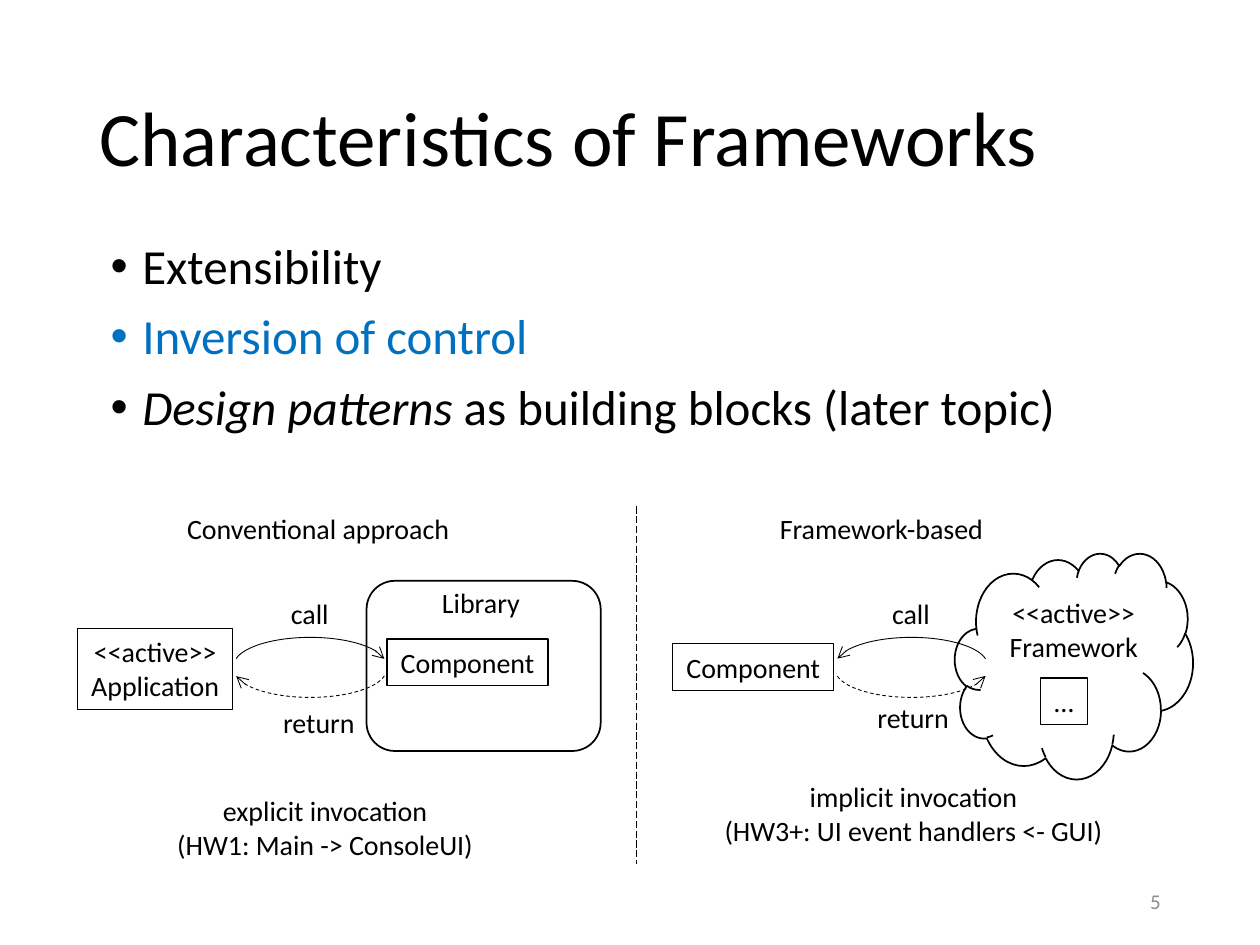
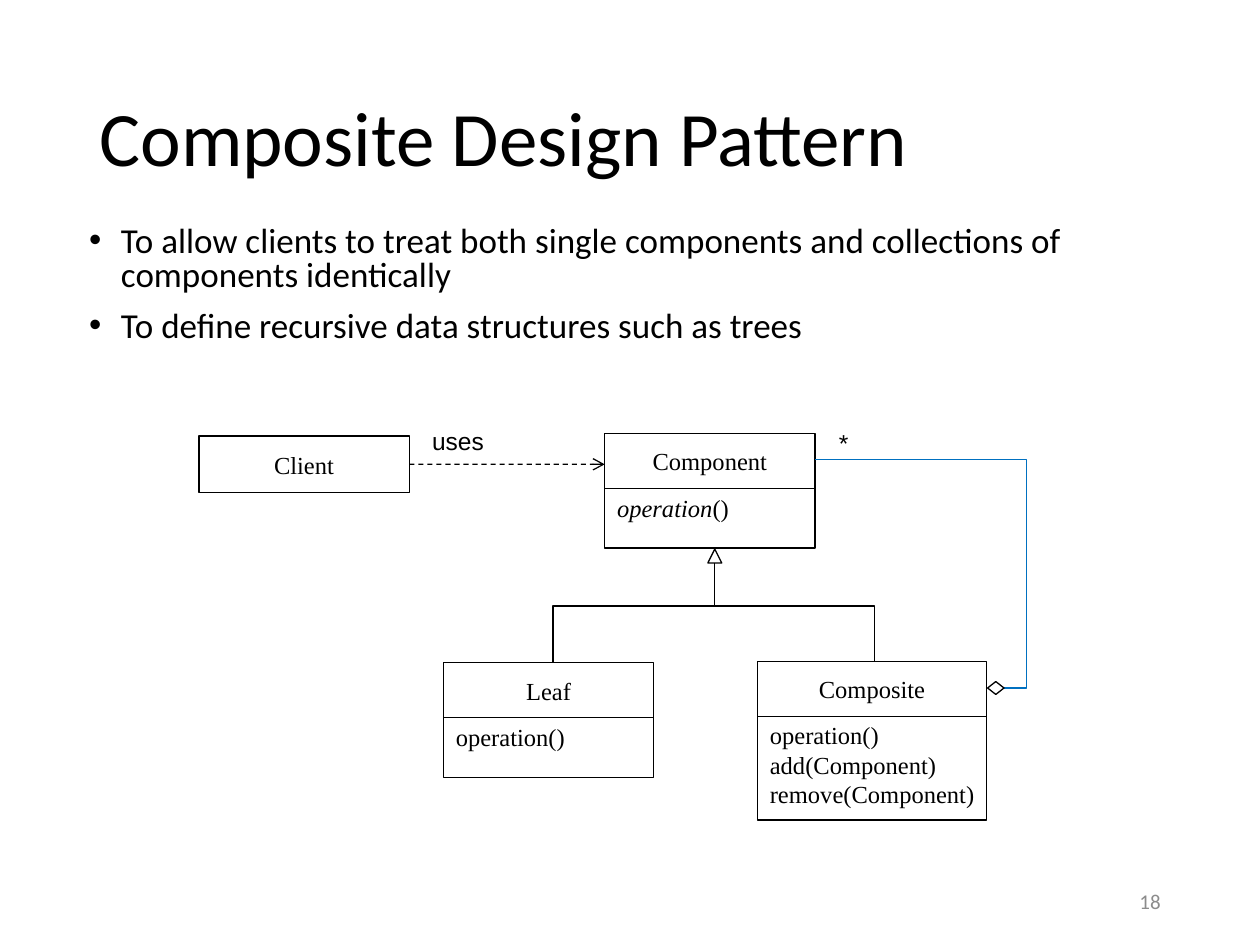
import lxml.etree
import pptx
import pptx.dml.color
import pptx.enum.dml
import pptx.enum.shapes
import pptx.enum.text
import pptx.oxml.ns
import pptx.util

Cm = pptx.util.Cm
SHAPES = pptx.enum.shapes.MSO_SHAPE
ALIGN = pptx.enum.text.PP_ALIGN
ANCHOR = pptx.enum.text.MSO_ANCHOR
DASH = pptx.enum.dml.MSO_LINE.DASH
LONG_DASH = pptx.enum.dml.MSO_LINE.LONG_DASH

BLACK, BLUE, GREY = "000000", "0070C0", "8C8C8C"
BODY_FONT, CLASS_FONT, LABEL_FONT = "Calibri", "Times New Roman", "Arial"
TITLE_BOX = (1.75, 1.02, 21.9, 3.68)
NUMBER_BOX = (17.93, 17.65, 5.72, 1.02)

# A paragraph is a string or a list of (text, run format) pairs.
# All boxes are (left, top, width, height) in centimetres.
FRAMEWORKS = {
    "title": "Characteristics of Frameworks",
    "number": "5",
    "bullets": [
        "Extensibility",
        [("Inversion of control", {"color": BLUE})],
        [("Design patterns ", {"italic": True}), ("as building blocks (later topic)", {})],
    ],
    "bullet_box": (1.98, 4.75, 22.07, 4.7),
    "bullet_format": {"size": 28, "line_spacing": 0.9},
}
PANELS = [
    {
        "arc_left": 4.72,
        "call_arrow_end": "tailEnd",
        "return_arrow_end": "headEnd",
        "containers": [(SHAPES.ROUNDED_RECTANGLE, (7.39, 11.71, 4.72, 3.43))],
        "boxes": [
            (["<<active>>", "Application"], (1.57, 12.67, 3.12, 1.63)),
            (["Component"], (7.8, 12.88, 3.25, 0.94)),
        ],
        "labels": [
            (["Conventional approach"], (3.48, 10.19, 5.87, 0.94)),
            (["call"], (5.61, 11.91, 1.27, 0.94)),
            (["return"], (5.44, 14.1, 1.98, 0.94)),
            (["Library"], (8.64, 11.68, 2.11, 0.94)),
            (["explicit invocation", "(HW1: Main -> ConsoleUI)"], (3.28, 15.88, 6.55, 1.63)),
        ],
    },
    {
        "arc_left": 16.84,
        "call_arrow_end": "headEnd",
        "return_arrow_end": "tailEnd",
        "containers": [(SHAPES.CLOUD, (19.25, 11.15, 4.8, 4.55))],
        "boxes": [
            (["Component"], (13.56, 12.98, 3.25, 0.94)),
            (["…"], (20.98, 13.67, 0.94, 0.94)),
        ],
        "labels": [
            (["Framework-based"], (15.42, 10.19, 4.7, 0.94)),
            (["call"], (17.73, 11.91, 1.27, 0.94)),
            (["return"], (17.42, 14.0, 1.98, 0.94)),
            (["<<active>>", "Framework"], (20.07, 11.89, 3.15, 1.63)),
            (["implicit invocation", "(HW3+: UI event handlers <- GUI)"], (14.3, 15.6, 8.23, 1.63)),
        ],
    },
]
ARC_SIZE = (3.07, 1.12)
CALL_TOP, RETURN_TOP = 12.85, 12.94

COMPOSITE = {
    "title": "Composite Design Pattern",
    "number": "18",
    "bullets": [
        "To allow clients to treat both single components and collections of components identically",
        "To define recursive data structures such as trees",
    ],
    "bullet_box": (1.55, 4.45, 22.86, 2.74),
    "bullet_format": {"size": 20, "line_spacing": 0.8},
}
CLIENT_BOX = (4.01, 8.79, 4.24, 1.14)
CLASSES = [
    ("Component", [[("operation", {"italic": True}), ("()", {})]], (12.19, 8.74, 4.24, 2.31)),
    ("Leaf", ["operation()"], (8.94, 13.36, 4.24, 2.31)),
    ("Composite", ["operation()", "add(Component)", "remove(Component)"], (15.27, 13.33, 4.62, 3.2)),
]
NAME_HEIGHT = 1.11
RELATION_LABELS = [("uses", (8.46, 8.46, 1.55, 0.84)), ("*", (16.66, 8.51, 0.71, 0.84))]
INHERITANCE = [(11.15, 13.36), (11.15, 12.22), (17.63, 12.22), (17.63, 13.33)]
AGGREGATION = [(20.24, 13.87), (20.7, 13.87), (20.7, 9.27), (16.43, 9.27)]


def rgb(color):
    return pptx.dml.color.RGBColor.from_string(color)


def write_text(shape, paragraphs, size=16, font=BODY_FONT, color=BLACK, align=ALIGN.CENTER,
               anchor=ANCHOR.TOP, wrap=False, line_spacing=None, bullet=False):
    frame = shape.text_frame
    frame.word_wrap = wrap
    frame.auto_size = pptx.enum.text.MSO_AUTO_SIZE.NONE
    frame.vertical_anchor = anchor
    for index, content in enumerate(paragraphs):
        paragraph = frame.add_paragraph() if index else frame.paragraphs[0]
        paragraph.alignment = align
        if line_spacing:
            paragraph.line_spacing = line_spacing
        if bullet:
            paragraph.space_before = pptx.util.Pt(10)
            add_bullet(paragraph)
        runs = [(content, {})] if isinstance(content, str) else content
        for text, run_format in runs:
            run = paragraph.add_run()
            run.text = text
            run.font.name = font
            run.font.size = pptx.util.Pt(size)
            run.font.italic = run_format.get("italic", False)
            run.font.color.rgb = rgb(run_format.get("color", color))


def add_bullet(paragraph):
    properties = paragraph._p.get_or_add_pPr()
    indent = Cm(0.64)
    properties.set("marL", str(indent))
    properties.set("indent", str(-indent))
    for tag, key, value in [("a:buFont", "typeface", "Arial"), ("a:buChar", "char", "•")]:
        lxml.etree.SubElement(properties, pptx.oxml.ns.qn(tag)).set(key, value)


def add_text(slide, paragraphs, box, **text_format):
    shape = slide.shapes.add_textbox(*map(Cm, box))
    write_text(shape, paragraphs, **text_format)
    return shape


def style_line(shape, width=0.75, color=BLACK, dash=None, arrow_end=None):
    line = shape.line
    line.color.rgb = rgb(color)
    line.width = pptx.util.Pt(width)
    if dash:
        line.dash_style = dash
    if arrow_end:
        arrow = lxml.etree.SubElement(line._get_or_add_ln(), pptx.oxml.ns.qn("a:" + arrow_end))
        arrow.set("type", "arrow")


def add_outline(slide, kind, box, **line_format):
    """Add an unfilled preset shape."""
    shape = slide.shapes.add_shape(kind, *map(Cm, box))
    shape.shadow.inherit = False
    shape.fill.background()
    style_line(shape, **line_format)
    return shape


def add_line(slide, start, end, **line_format):
    connector = slide.shapes.add_connector(
        pptx.enum.shapes.MSO_CONNECTOR.STRAIGHT, *map(Cm, start + end))
    style_line(connector, **line_format)
    lxml.etree.SubElement(connector._element.spPr, pptx.oxml.ns.qn("a:effectLst"))
    return connector


def add_polyline(slide, points, **line_format):
    start, *rest = [tuple(map(Cm, point)) for point in points]
    builder = slide.shapes.build_freeform(*start)
    builder.add_line_segments(rest, close=False)
    shape = builder.convert_to_shape()
    shape.shadow.inherit = False
    shape.fill.background()
    style_line(shape, **line_format)


def add_arc(slide, left, top, flipped=False, **line_format):
    arc = add_outline(slide, SHAPES.ARC, (left, top) + ARC_SIZE, width=0.5, **line_format)
    arc.adjustments[0] = 111.02
    arc.adjustments[1] = 213.1
    if flipped:
        arc._element.spPr.xfrm.set("flipV", "1")


def add_slide(presentation, content):
    """Add a slide with its title, bullets and page number."""
    slide = presentation.slides.add_slide(presentation.slide_layouts.get_by_name("Title Only"))
    title = slide.shapes.title
    title.left, title.top, title.width, title.height = map(Cm, TITLE_BOX)
    write_text(title, [content["title"]], size=44, align=ALIGN.LEFT, anchor=ANCHOR.MIDDLE,
               wrap=True, line_spacing=0.9)
    add_text(slide, content["bullets"], content["bullet_box"], align=ALIGN.LEFT, wrap=True,
             bullet=True, **content["bullet_format"])
    add_text(slide, [content["number"]], NUMBER_BOX, size=12, color=GREY, align=ALIGN.RIGHT,
             anchor=ANCHOR.MIDDLE, wrap=True)
    return slide


def draw_panel(slide, panel):
    for kind, box in panel["containers"]:
        add_outline(slide, kind, box, width=1)
    for paragraphs, box in panel["boxes"]:
        write_text(add_outline(slide, SHAPES.RECTANGLE, box), paragraphs)
    for paragraphs, box in panel["labels"]:
        add_text(slide, paragraphs, box)
    add_arc(slide, panel["arc_left"], CALL_TOP, arrow_end=panel["call_arrow_end"])
    add_arc(slide, panel["arc_left"], RETURN_TOP, flipped=True, dash=DASH,
            arrow_end=panel["return_arrow_end"])


def draw_class(slide, name, operations, box):
    left, top, width, height = box
    rectangle = add_outline(slide, SHAPES.RECTANGLE, box)
    write_text(rectangle, operations, size=14, font=CLASS_FONT, align=ALIGN.LEFT, wrap=True)
    rectangle.text_frame.margin_top = Cm(NAME_HEIGHT + 0.08)
    rectangle.text_frame.margin_right = 0
    add_text(slide, [name], (left, top, width, NAME_HEIGHT), size=14, font=CLASS_FONT,
             anchor=ANCHOR.MIDDLE)
    divider = top + NAME_HEIGHT
    add_line(slide, (left, divider), (left + width, divider))


def draw_class_diagram(slide):
    client = add_outline(slide, SHAPES.RECTANGLE, CLIENT_BOX)
    write_text(client, ["Client"], size=14, font=CLASS_FONT, anchor=ANCHOR.MIDDLE)
    for name, operations, box in CLASSES:
        draw_class(slide, name, operations, box)
    for label, box in RELATION_LABELS:
        add_text(slide, [label], box, size=14, font=LABEL_FONT, align=ALIGN.LEFT)

    left, top, width, height = CLIENT_BOX
    middle = top + height / 2
    component_left = CLASSES[0][2][0]
    uses = add_line(slide, (left + width, middle), (component_left, middle),
                    dash=DASH, arrow_end="tailEnd")
    uses.begin_connect(client, 3)

    add_polyline(slide, INHERITANCE)
    add_line(slide, (14.41, 11.35), (14.41, 12.22))
    add_outline(slide, SHAPES.ISOSCELES_TRIANGLE, (14.27, 11.07, 0.28, 0.28))
    add_polyline(slide, AGGREGATION, color=BLUE)
    add_outline(slide, SHAPES.DIAMOND, (19.91, 13.74, 0.33, 0.26))


def main():
    presentation = pptx.Presentation()
    presentation.slide_width, presentation.slide_height = Cm(25.4), Cm(19.05)
    slide = add_slide(presentation, FRAMEWORKS)
    for panel in PANELS:
        draw_panel(slide, panel)
    add_line(slide, (12.83, 10.21), (12.83, 17.42), width=0.5, dash=LONG_DASH)
    draw_class_diagram(add_slide(presentation, COMPOSITE))
    presentation.save("out.pptx")


if __name__ == "__main__":
    main()
